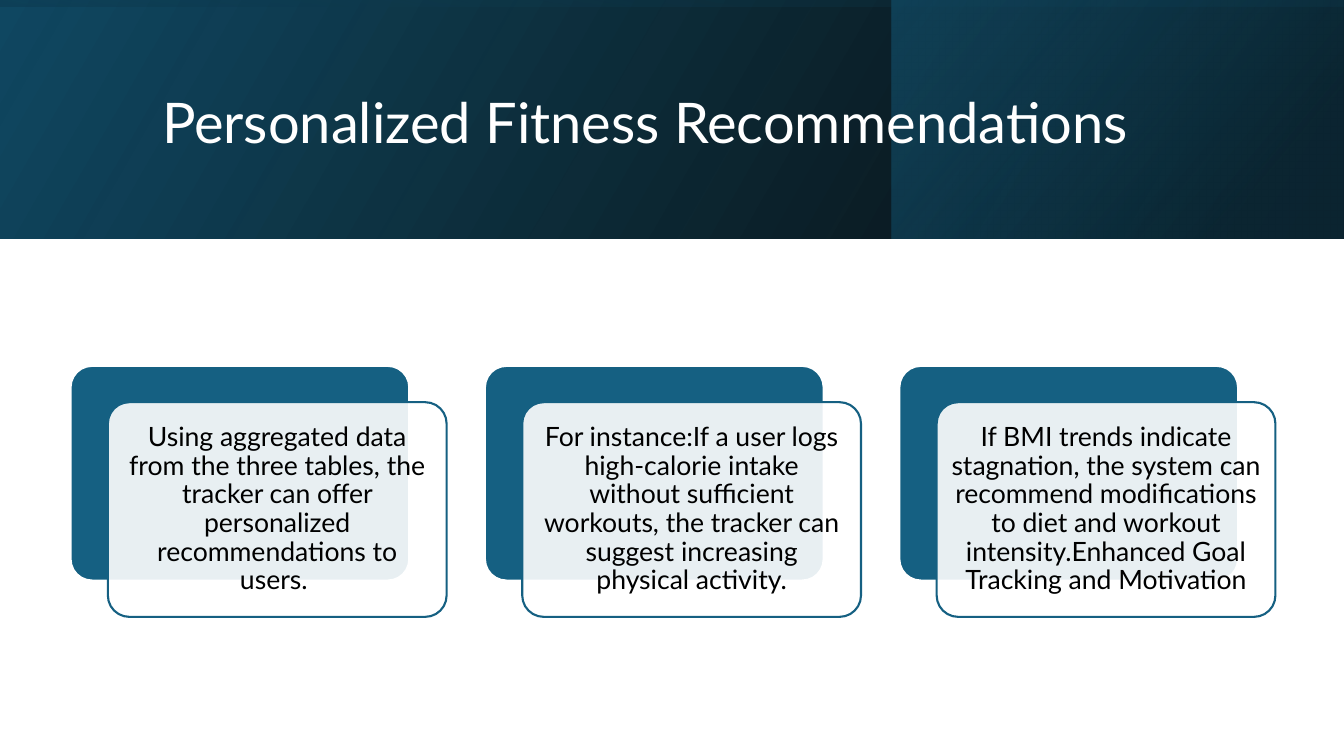
from lxml import etree
from pptx import Presentation
from pptx.dml.color import RGBColor
from pptx.enum.shapes import MSO_SHAPE
from pptx.enum.text import MSO_ANCHOR, PP_ALIGN
from pptx.oxml import parse_xml
from pptx.oxml.ns import nsdecls, qn
from pptx.util import Inches, Pt

RECT = MSO_SHAPE.RECTANGLE
ROUNDED = MSO_SHAPE.ROUNDED_RECTANGLE
MIDDLE = MSO_ANCHOR.MIDDLE
LEFT, CENTER = PP_ALIGN.LEFT, PP_ALIGN.CENTER

COLORS = {"black": "000000", "white": "FFFFFF", "blue": "156082",
          "deep": "104862", "navy": "0B3041"}
FONT = "Lato"

# Banner layers: box, rotation, gradient angle, stops (position, colour, opacity)
BANNER = [
    ((0, 0, 13.33, 2.37), 0, 330, [(0, "black", 96), (100, "deep", 100)]),
    ((8.84, 0, 4.48, 2.37), 0, 320, [(19, "navy", 68), (100, "blue", 48)]),
    ((5.48, -5.48, 2.37, 13.33), 270, 350, [(23, "deep", 16), (99, "black", 45)]),
]

CARDS = [
    "Using aggregated data from the three tables, the tracker can offer "
    "personalized recommendations to users. ",
    "For instance:If a user logs high-calorie intake without sufficient "
    "workouts, the tracker can suggest increasing physical activity.",
    "If BMI trends indicate stagnation, the system can recommend modifications "
    "to diet and workout intensity.Enhanced Goal Tracking and Motivation",
]
CARD_LEFT, CARD_TOP, CARD_W, CARD_H = 0.7, 3.63, 3.36, 2.13
CARD_STEP = 4.11
CARD_SHIFT = 0.37
TEXT_PAD = 0.06


def rgb(name):
    return RGBColor.from_string(COLORS[name])


def add_shape(s, kind, box):
    sp = s.shapes.add_shape(kind, *map(Inches, box))
    sp.shadow.inherit = False
    return sp


def add_gradient_rect(s, box, rotation, angle, stops):
    sp = add_shape(s, RECT, box)
    sp.rotation = rotation
    sp.line.fill.background()
    spPr = sp._element.spPr
    spPr.find(qn("a:xfrm")).set("flipH", "1")
    marks = "".join(
        f'<a:gs pos="{pos * 1000}"><a:srgbClr val="{COLORS[color]}">'
        f'<a:alpha val="{opacity * 1000}"/></a:srgbClr></a:gs>'
        for pos, color, opacity in stops)
    fill = parse_xml(
        f'<a:gradFill {nsdecls("a")} rotWithShape="1"><a:gsLst>{marks}</a:gsLst>'
        f'<a:lin ang="{angle * 60000}" scaled="0"/></a:gradFill>')
    spPr.find(qn("a:prstGeom")).addnext(fill)


def add_rounded(s, box, fill, line, opacity=100):
    sp = add_shape(s, ROUNDED, box)
    sp.adjustments[0] = 0.1
    sp.fill.solid()
    sp.fill.fore_color.rgb = rgb(fill)
    sp.line.color.rgb = rgb(line)
    sp.line.width = Pt(1.5)
    if opacity < 100:
        color = sp._element.spPr.find(qn("a:solidFill"))[0]
        etree.SubElement(color, qn("a:alpha"), val=str(opacity * 1000))


def add_text(s, box, text, size, color, align, margins=None):
    tf = s.shapes.add_textbox(*map(Inches, box)).text_frame
    frame = {"word_wrap": True, "vertical_anchor": MIDDLE}
    if margins is not None:
        for side in ("left", "right", "top", "bottom"):
            frame[f"margin_{side}"] = Inches(margins)
    for name, value in frame.items():
        setattr(tf, name, value)
    p = tf.paragraphs[0]
    p.alignment = align
    p.line_spacing = 0.9
    r = p.add_run()
    r.text = text
    for name, value in {"name": FONT, "size": Pt(size)}.items():
        setattr(r.font, name, value)
    r.font.color.rgb = rgb(color)


def add_card(s, left, text):
    x, y = left + CARD_SHIFT, CARD_TOP + CARD_SHIFT - 0.01
    add_rounded(s, (left, CARD_TOP, CARD_W, CARD_H), "blue", "white")
    add_rounded(s, (x, y, CARD_W, CARD_H), "white", "blue", opacity=90)
    text_box = (x + TEXT_PAD, y + TEXT_PAD,
                CARD_W - 2 * TEXT_PAD, CARD_H - 2 * TEXT_PAD)
    add_text(s, text_box, text, 19, "black", CENTER, margins=0.08)


def main():
    prs = Presentation()
    prs.slide_width, prs.slide_height = Inches(13.33), Inches(7.5)
    s = prs.slides.add_slide(prs.slide_layouts[6])

    # Banner and title
    for layer in BANNER:
        add_gradient_rect(s, *layer)
    add_text(s, (1.51, 0.38, 10.63, 1.72),
             "Personalized Fitness Recommendations", 40, "white", LEFT)

    # Recommendation cards
    for i, text in enumerate(CARDS):
        add_card(s, CARD_LEFT + i * CARD_STEP, text)

    prs.save("out.pptx")


if __name__ == "__main__":
    main()
